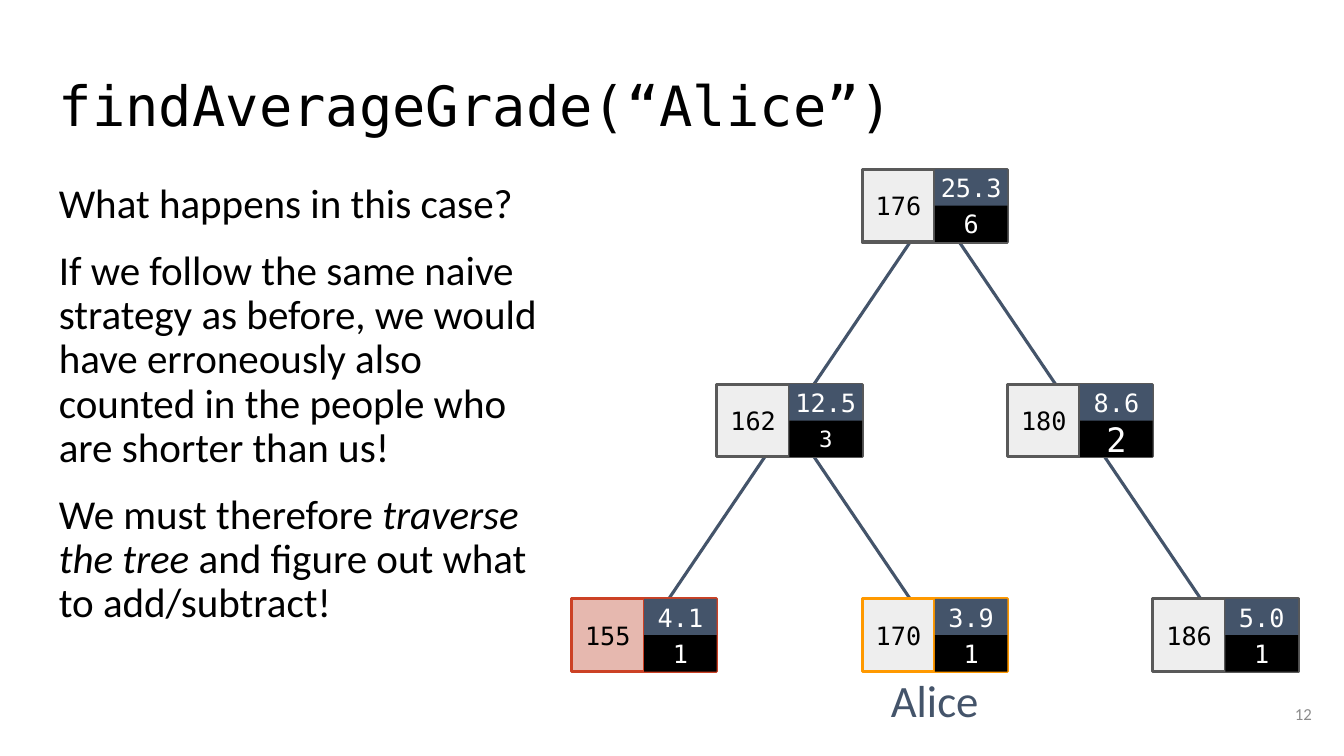
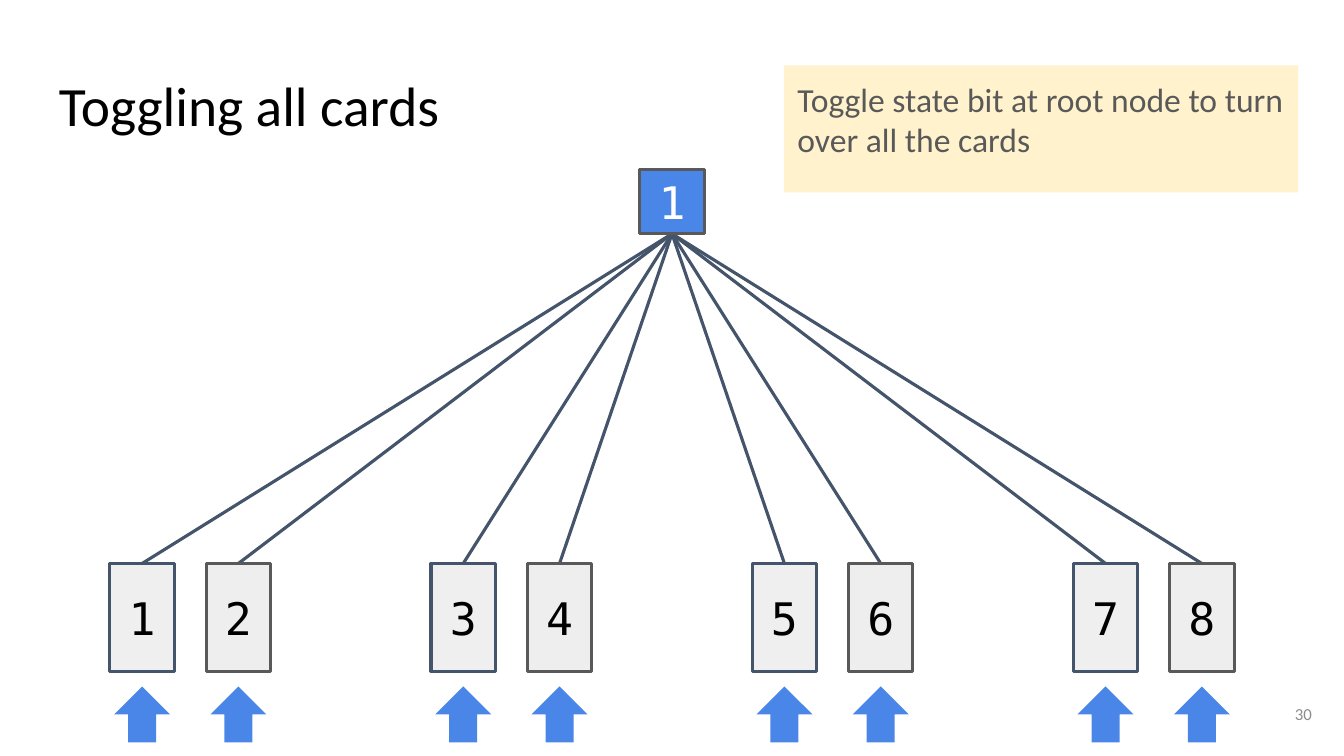
from lxml import etree
from pptx import Presentation
from pptx.dml.color import RGBColor
from pptx.enum.shapes import MSO_CONNECTOR, MSO_SHAPE
from pptx.enum.text import MSO_ANCHOR, MSO_AUTO_SIZE, PP_ALIGN
from pptx.oxml.ns import qn
from pptx.util import Pt


def color(hex_value):
    return RGBColor.from_string(hex_value)


class Deck:
    SANS, MONO = "Calibri", "DejaVu Sans Mono"
    BLACK, WHITE = "000000", "FFFFFF"
    SLATE, GRAY, PALE, BLUE = "44546A", "595959", "EEEEEE", "4A86E8"
    MUTED, CREAM = "8C8C8C", "FFF2CC"
    MARGIN, TITLE_TOP, CONTENT_TOP = 32.4, 46.8, 121
    INSET, STROKE = 9.6, 2.25

    def __init__(self):
        self.prs = Presentation()
        self.prs.slide_width, self.prs.slide_height = Pt(960), Pt(540)
        self.slide = None

    def new_slide(self, layout, title, number, title_font=SANS):
        self.slide = self.prs.slides.add_slide(self.prs.slide_layouts[layout])
        heading = self.slide.shapes.title
        self.place(heading, self.MARGIN, self.TITLE_TOP, 894.2, 60.5)
        heading.text_frame.text = title
        self.style(heading, 39.6, self.BLACK, title_font, PP_ALIGN.LEFT,
                   MSO_ANCHOR.TOP, self.INSET, spacing=0.9)
        self.label(number, 889.2, 489.6, 57.6, 41, 12, self.MUTED, PP_ALIGN.RIGHT)

    def place(self, shape, left, top, width, height):
        shape.left, shape.top = Pt(left), Pt(top)
        shape.width, shape.height = Pt(width), Pt(height)

    def style(self, shape, size, ink, font, align=PP_ALIGN.CENTER,
              anchor=MSO_ANCHOR.MIDDLE, inset=0, spacing=None):
        frame = shape.text_frame
        frame.word_wrap, frame.auto_size = True, MSO_AUTO_SIZE.NONE
        frame.vertical_anchor = anchor
        frame.margin_left = frame.margin_right = Pt(inset)
        frame.margin_top = frame.margin_bottom = Pt(inset)
        for paragraph in frame.paragraphs:
            paragraph.alignment = align
            if spacing:
                paragraph.line_spacing = spacing
            for run in paragraph.runs:
                run.font.size, run.font.name = Pt(size), font
                run.font.color.rgb = color(ink)

    def body(self, paragraphs, left, top, width, height):
        """Fill the body placeholder; text between asterisks is italic."""
        shape = self.slide.placeholders[1]
        self.place(shape, left, top, width, height)
        frame = shape.text_frame
        for index, text in enumerate(paragraphs):
            paragraph = frame.add_paragraph() if index else frame.paragraphs[0]
            paragraph.space_before = Pt(16 if index else 0)
            properties = paragraph._p.get_or_add_pPr()
            properties.set("marL", "0")
            properties.set("indent", "0")
            etree.SubElement(properties, qn("a:buNone"))
            for part, piece in enumerate(text.split("*")):
                run = paragraph.add_run()
                run.text = piece
                run.font.italic = part % 2 == 1
        self.style(shape, 29.3, self.BLACK, self.SANS, PP_ALIGN.LEFT,
                   MSO_ANCHOR.TOP, self.INSET, spacing=0.9)

    def label(self, text, left, top, width, height, size, ink, align=PP_ALIGN.CENTER):
        box = self.slide.shapes.add_textbox(Pt(left), Pt(top), Pt(width), Pt(height))
        box.text_frame.text = text
        self.style(box, size, ink, self.SANS, align, inset=self.INSET)

    def block(self, left, top, width, height, fill, border=None,
              kind=MSO_SHAPE.RECTANGLE, parent=None):
        shapes = (parent or self.slide).shapes
        shape = shapes.add_shape(kind, Pt(left), Pt(top), Pt(width), Pt(height))
        shape.shadow.inherit = False
        shape.fill.solid()
        shape.fill.fore_color.rgb = color(fill)
        if border:
            shape.line.color.rgb = color(border)
            shape.line.width = Pt(self.STROKE)
        else:
            shape.line.fill.background()
        return shape

    def cell(self, text, left, top, width, height, fill, border=None,
             size=18, ink=BLACK, parent=None):
        shape = self.block(left, top, width, height, fill, border, parent=parent)
        shape.text_frame.text = text
        self.style(shape, size, ink, self.MONO)
        return shape

    def callout(self, text, left, top, width, height):
        shape = self.block(left, top, width, height, self.CREAM)
        shape.text_frame.text = text
        self.style(shape, 24, self.GRAY, self.SANS, PP_ALIGN.LEFT,
                   MSO_ANCHOR.TOP, self.INSET)

    def tree_node(self, key, average, count, left, top, side,
                  fill=PALE, border=GRAY, count_size=18):
        """Draw key, average and count; return the key cell."""
        node = self.slide.shapes.add_group_shape()
        middle, half = left + side, side / 2
        key_cell = self.cell(key, left, top, side, side, fill, border, parent=node)
        self.block(middle, top, side, side, self.SLATE, border, parent=node)
        self.cell(average, middle, top, side, half, self.SLATE,
                  ink=self.WHITE, parent=node)
        self.cell(count, middle, top + half, side, half, self.BLACK,
                  size=count_size, ink=self.WHITE, parent=node)
        return key_cell

    def edge(self, start, start_site, end, end_site):
        """Join two shapes with a line behind everything else."""
        line = self.slide.shapes.add_connector(MSO_CONNECTOR.STRAIGHT, 0, 0, 0, 0)
        line.begin_connect(start, start_site)
        line.end_connect(end, end_site)
        line.line.color.rgb = color(self.SLATE)
        line.line.width = Pt(self.STROKE)
        element = line._element
        etree.SubElement(element.spPr, qn("a:effectLst"))
        element.getparent().insert(2, element)


def average_grade_slide(deck):
    deck.new_slide(1, "findAverageGrade(“Alice”)", "12", Deck.MONO)
    deck.body([
        "What happens in this case?",
        "If we follow the same naive strategy as before, we would have "
        "erroneously also counted in the people who are shorter than us!",
        "We must therefore *traverse the tree* and figure out what to add/subtract!",
    ], Deck.MARGIN, Deck.CONTENT_TOP, 375, 358.6)

    # Height tree: key, average, count, column, row, special formatting
    side, tree_left, row_step = 51.9, 408.2, 153.4
    people = [
        ("176", "25.3", "6", 2, 0, {}),
        ("162", "12.5", "3", 1, 1, {"count_size": 16}),
        ("180", "8.6", "2", 3, 1, {"count_size": 24}),
        ("155", "4.1", "1", 0, 2, {"fill": "E6B8AF", "border": "CC4125"}),
        ("170", "3.9", "1", 2, 2, {"border": "FF9900"}),
        ("186", "5.0", "1", 4, 2, {}),
    ]
    nodes = {}
    for key, average, count, column, row, look in people:
        nodes[key] = deck.tree_node(
            key, average, count, tree_left + column * 2 * side,
            Deck.CONTENT_TOP + row * row_step, side, **look)
    for parent, child in [("176", "162"), ("176", "180"), ("162", "155"),
                          ("162", "170"), ("180", "186")]:
        deck.edge(nodes[parent], 3, nodes[child], 3)
    deck.label("Alice", tree_left + 4 * side, 479.5, 2 * side, 41, 32, Deck.SLATE)


def toggling_slide(deck):
    deck.new_slide(5, "Toggling all cards", "30")
    deck.callout("Toggle state bit at root node to turn over all the cards",
                 560, Deck.TITLE_TOP, 367.2, 90.7)

    # Root bit
    width, arrow = 46, 40
    root = deck.cell("1", 480 - width / 2, Deck.CONTENT_TOP, width, width,
                     Deck.BLUE, Deck.GRAY, 32, Deck.WHITE)

    # Cards in pairs, each with an arrow below
    first_center, pair_step, card_step = 101.5, 229.4, 68.8
    for index in range(8):
        pair, second = divmod(index, 2)
        center = first_center + pair * pair_step + second * card_step
        fill, border = (Deck.PALE, Deck.GRAY) if second else ("EFEFEF", Deck.SLATE)
        card = deck.cell(str(index + 1), center - width / 2, 402.5, width, 77,
                         fill, border, 32)
        deck.block(center - arrow / 2, 490.3, arrow, arrow, Deck.BLUE,
                   kind=MSO_SHAPE.UP_ARROW)
        deck.edge(root, 2, card, 0)


def main():
    deck = Deck()
    average_grade_slide(deck)
    toggling_slide(deck)
    deck.prs.save("out.pptx")


if __name__ == "__main__":
    main()
